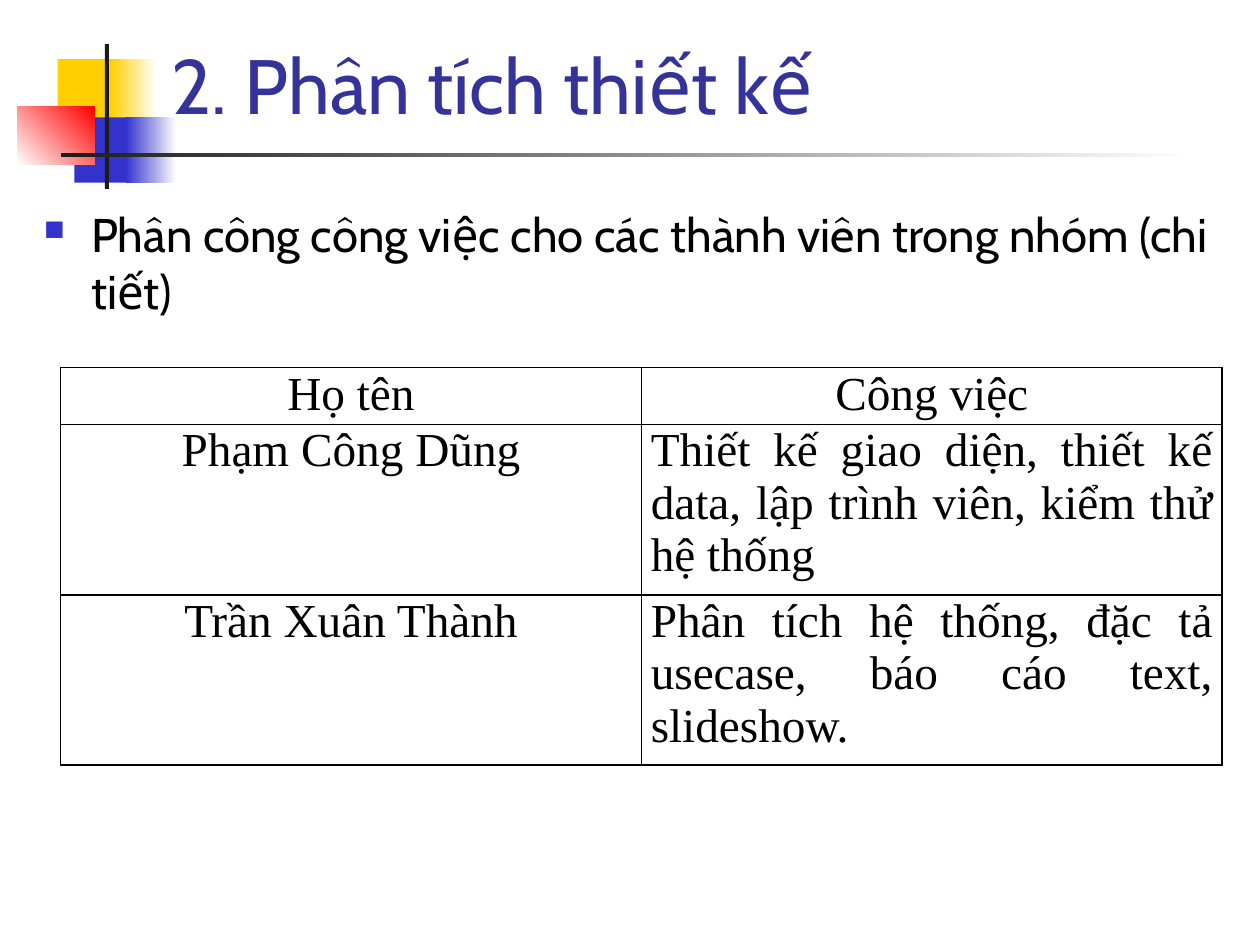
from dataclasses import dataclass

from lxml import etree
from pptx import Presentation, util as u
from pptx.dml.color import RGBColor
from pptx.enum import shapes, text
from pptx.oxml import ns


@dataclass(frozen=True)
class Theme:
    heading_font: str = "Cabin"
    table_font: str = "Times New Roman"
    title_size: int = 44
    body_size: int = 27
    title: str = "333399"
    ink: str = "000000"
    border: str = "000008"
    yellow: str = "FFCF01"
    blue: str = "3333CC"
    red: str = "FF0000"
    bar: str = "1C1C1C"
    white: str = "FFFFFF"


def add_element(parent, tag, **attributes):
    return etree.SubElement(parent, ns.qn(tag), attributes)


class SlideBuilder:
    def __init__(self, slide, theme):
        self.slide = slide
        self.theme = theme

    def add_run(self, paragraph, words, font, size, color):
        run = paragraph.add_run()
        run.text = words
        run.font.name = font
        run.font.size = u.Pt(size)
        run.font.color.rgb = RGBColor.from_string(color)

    def block(self, box, color, fade_to=None, angle=0):
        """Add a borderless rectangle, plain or fading to a second colour."""
        shape = self.slide.shapes.add_shape(
            shapes.MSO_SHAPE.RECTANGLE, *map(u.Pt, box))
        shape.shadow.inherit = False
        shape.line.fill.background()
        if fade_to is None:
            shape.fill.solid()
            shape.fill.fore_color.rgb = RGBColor.from_string(color)
            return
        shape.fill.gradient()
        shape.fill.gradient_angle = angle
        for stop, stop_color in zip(shape.fill.gradient_stops, (color, fade_to)):
            stop.color.rgb = RGBColor.from_string(stop_color)

    def title(self, box, words):
        shape = self.slide.shapes.title
        shape.left, shape.top, shape.width, shape.height = map(u.Pt, box)
        # The title lies in front of the decoration
        shape.element.getparent().append(shape.element)
        frame = shape.text_frame
        frame.auto_size = text.MSO_AUTO_SIZE.NONE
        frame.word_wrap = True
        frame.vertical_anchor = text.MSO_ANCHOR.BOTTOM
        paragraph = frame.paragraphs[0]
        paragraph.alignment = text.PP_ALIGN.LEFT
        self.add_run(paragraph, words, self.theme.heading_font,
                     self.theme.title_size, self.theme.title)

    def bullet(self, box, words, indent=27):
        shape = self.slide.shapes.add_textbox(*map(u.Pt, box))
        frame = shape.text_frame
        frame.word_wrap = True
        paragraph = frame.paragraphs[0]
        properties = paragraph._p.get_or_add_pPr()
        properties.set("marL", str(u.Pt(indent)))
        properties.set("indent", str(-u.Pt(indent)))
        bullet_color = add_element(properties, "a:buClr")
        add_element(bullet_color, "a:srgbClr", val=self.theme.blue)
        add_element(properties, "a:buSzPct", val="60000")
        add_element(properties, "a:buChar", char="■")
        self.add_run(paragraph, words, self.theme.heading_font,
                     self.theme.body_size, self.theme.ink)

    def borders(self, cell, widths):
        """Draw the left, right, top and bottom borders, in that order."""
        properties = cell._tc.get_or_add_tcPr()
        for side, width in zip("LRTB", widths):
            line = add_element(properties, f"a:ln{side}", w=str(u.Pt(width)))
            fill = add_element(line, "a:solidFill")
            add_element(fill, "a:srgbClr", val=self.theme.border)

    def table(self, box, rows, row_heights):
        frame = self.slide.shapes.add_table(
            len(rows), len(rows[0]), *map(u.Pt, box))
        table = frame.table
        table.first_row = table.horz_banding = False
        for row, height in zip(table.rows, row_heights):
            row.height = u.Pt(height)
        for i, row in enumerate(rows):
            for j, words in enumerate(row):
                cell = table.cell(i, j)
                cell.margin_left = cell.margin_right = u.Pt(5.4)
                cell.margin_top = cell.margin_bottom = 0
                self.borders(cell, (1 if j else 0.5, 1, 1 if i else 0.5, 1))
                cell.fill.background()
                paragraph = cell.text_frame.paragraphs[0]
                paragraph.alignment = (text.PP_ALIGN.JUSTIFY if i and j
                                       else text.PP_ALIGN.CENTER)
                self.add_run(paragraph, words, self.theme.table_font,
                             self.theme.body_size, self.theme.ink)


def main():
    presentation = Presentation()
    presentation.slide_width = u.Pt(720)
    presentation.slide_height = u.Pt(540)
    slide = presentation.slides.add_slide(presentation.slide_layouts[5])
    theme = Theme()
    builder = SlideBuilder(slide, theme)

    builder.block((33, 33.8, 34.6, 37.4), theme.yellow)
    builder.block((63.4, 33.8, 25.9, 37.4), theme.yellow, theme.white)
    builder.block((42.5, 67, 33.1, 37.4), theme.blue)
    builder.block((72, 67, 28.8, 37.4), theme.blue, theme.white)
    builder.block((10, 61, 44, 33.1), theme.white, theme.red, angle=45)
    builder.block((60, 25.2, 2.2, 82.8), theme.bar)
    builder.block((34.6, 87.3, 648, 2.2), theme.bar, theme.white)

    builder.title((90.7, 16.6, 613.4, 61.2), "2. Phân tích thiết kế")
    builder.bullet((18, 113.8, 686.9, 368.6),
                   "Phân công công việc cho các thành viên trong nhóm (chi tiết)")
    builder.table(
        (34.6, 210.2, 663.8, 226.8),
        [("Họ tên", "Công việc"),
         ("Phạm Công Dũng",
          "Thiết kế giao diện, thiết kế data, lập trình viên, kiểm thử hệ thống"),
         ("Trần Xuân Thành",
          "Phân tích hệ thống, đặc tả usecase, báo cáo text, slideshow.")],
        (32.4, 97.2, 97.2))
    presentation.save("out.pptx")


if __name__ == "__main__":
    main()
